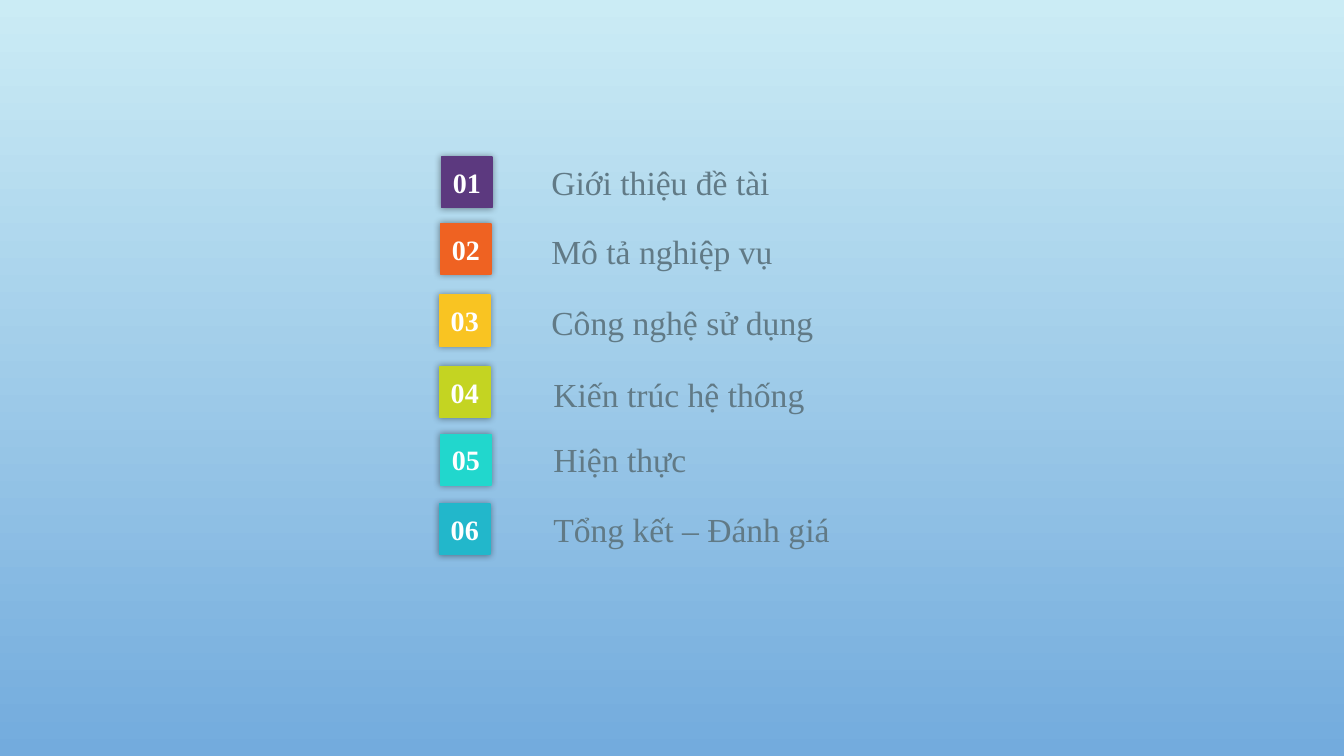
from dataclasses import dataclass

from lxml import etree
from pptx import Presentation
from pptx.dml.color import RGBColor
from pptx.enum.shapes import MSO_SHAPE
from pptx.enum.text import MSO_ANCHOR, MSO_AUTO_SIZE, PP_ALIGN
from pptx.oxml.ns import qn
from pptx.util import Inches, Pt

RECT = MSO_SHAPE.RECTANGLE
MIDDLE = MSO_ANCHOR.MIDDLE
GROW = MSO_AUTO_SIZE.SHAPE_TO_FIT_TEXT
LEFT, CENTER = PP_ALIGN.LEFT, PP_ALIGN.CENTER


@dataclass(frozen=True)
class Theme:
    font: str = "Times New Roman"
    sky_top: str = "CBECF5"
    sky_bottom: str = "73ABDD"
    number: str = "FFFFFF"
    topic: str = "617A86"
    shadow: str = "000000"
    purple: str = "5C397F"
    orange: str = "EF6222"
    yellow: str = "F9C422"
    lime: str = "C4D422"
    turquoise: str = "21D7CD"
    teal: str = "22B7CB"
    number_size: int = 20
    topic_size: int = 24


theme = Theme()


def write(tf, text, size, color, align, bold=False):
    p = tf.paragraphs[0]
    p.alignment = align
    r = p.add_run()
    r.text = text
    r.font.name = theme.font
    r.font.size = Pt(size)
    r.font.bold = bold
    r.font.color.rgb = RGBColor.from_string(color)


def add_glow_shadow(sp):
    """Give the shape a soft shadow with no offset, visible on all sides."""
    sp.shadow.inherit = False
    effects = sp._element.spPr.find(qn("a:effectLst"))
    outer = etree.SubElement(effects, qn("a:outerShdw"), blurRad=str(Pt(5)),
                             dist="0", dir="0", algn="ctr", rotWithShape="0")
    color = etree.SubElement(outer, qn("a:srgbClr"), val=theme.shadow)
    etree.SubElement(color, qn("a:alpha"), val="40000")


prs = Presentation()
prs.slide_width, prs.slide_height = Inches(13.33), Inches(7.5)
slide = prs.slides.add_slide(prs.slide_layouts[6])

fill = slide.background.fill
fill.gradient()
fill.gradient_angle = 270
for stop, position, color in zip(fill.gradient_stops, (0, 1),
                                 (theme.sky_top, theme.sky_bottom)):
    stop.position = position
    stop.color.rgb = RGBColor.from_string(color)

# Topic, colour, badge left and top, topic left, top and width
agenda = [
    ("Giới thiệu đề tài", theme.purple, 4.38, 1.56, 5.37, 1.56, 4),
    ("Mô tả nghiệp vụ", theme.orange, 4.37, 2.22, 5.37, 2.24, 4),
    ("Công nghệ sử dụng", theme.yellow, 4.36, 2.93, 5.37, 2.95, 4),
    ("Kiến trúc hệ thống", theme.lime, 4.36, 3.64, 5.39, 3.66, 6),
    ("Hiện thực", theme.turquoise, 4.37, 4.31, 5.39, 4.31, 4),
    ("Tổng kết – Đánh giá", theme.teal, 4.36, 5, 5.39, 5, 4),
]
side = Inches(0.5)

for number, (topic, color, badge_x, badge_y, x, y, width) in enumerate(agenda, 1):
    badge = slide.shapes.add_shape(RECT, Inches(badge_x), Inches(badge_y), side, side)
    badge.name = f"Badge {number}"
    badge.fill.solid()
    badge.fill.fore_color.rgb = RGBColor.from_string(color)
    badge.line.color.rgb = RGBColor.from_string(color)
    badge.line.width = Pt(1.25)
    add_glow_shadow(badge)
    tf = badge.text_frame
    tf.margin_left = tf.margin_right = 0
    tf.vertical_anchor = MIDDLE
    write(tf, f"{number:02}", theme.number_size, theme.number, CENTER, bold=True)

    box = slide.shapes.add_textbox(Inches(x), Inches(y), Inches(width), side)
    box.name = f"Topic {number}"
    tf = box.text_frame
    tf.word_wrap = True
    tf.auto_size = GROW
    write(tf, topic, theme.topic_size, theme.topic, LEFT)

prs.save("out.pptx")
